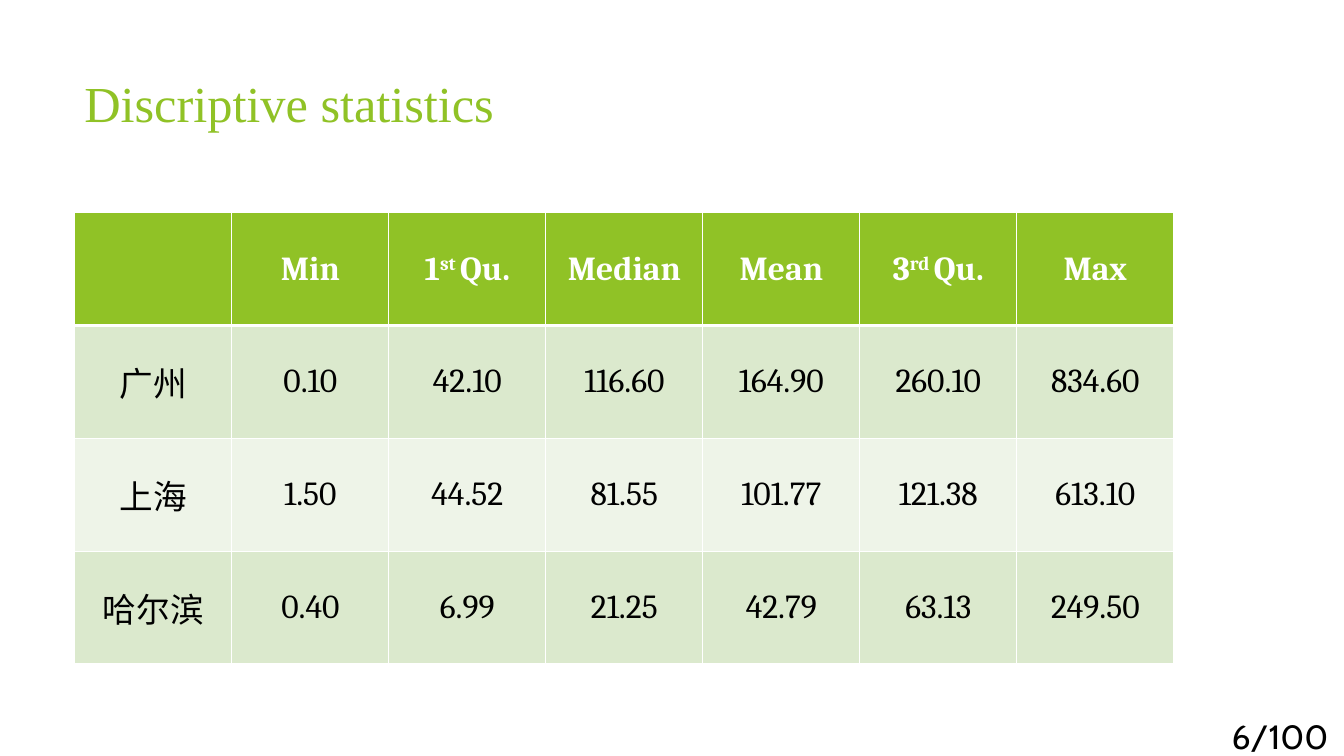
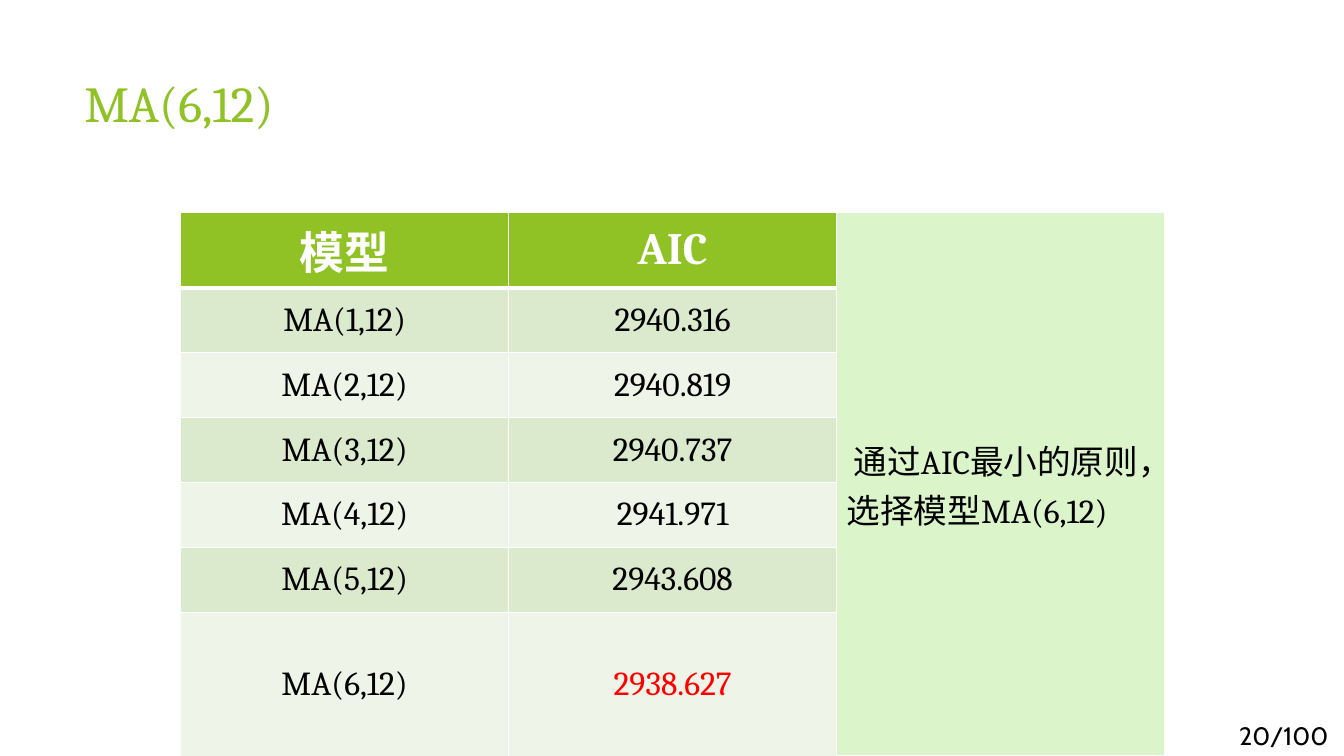
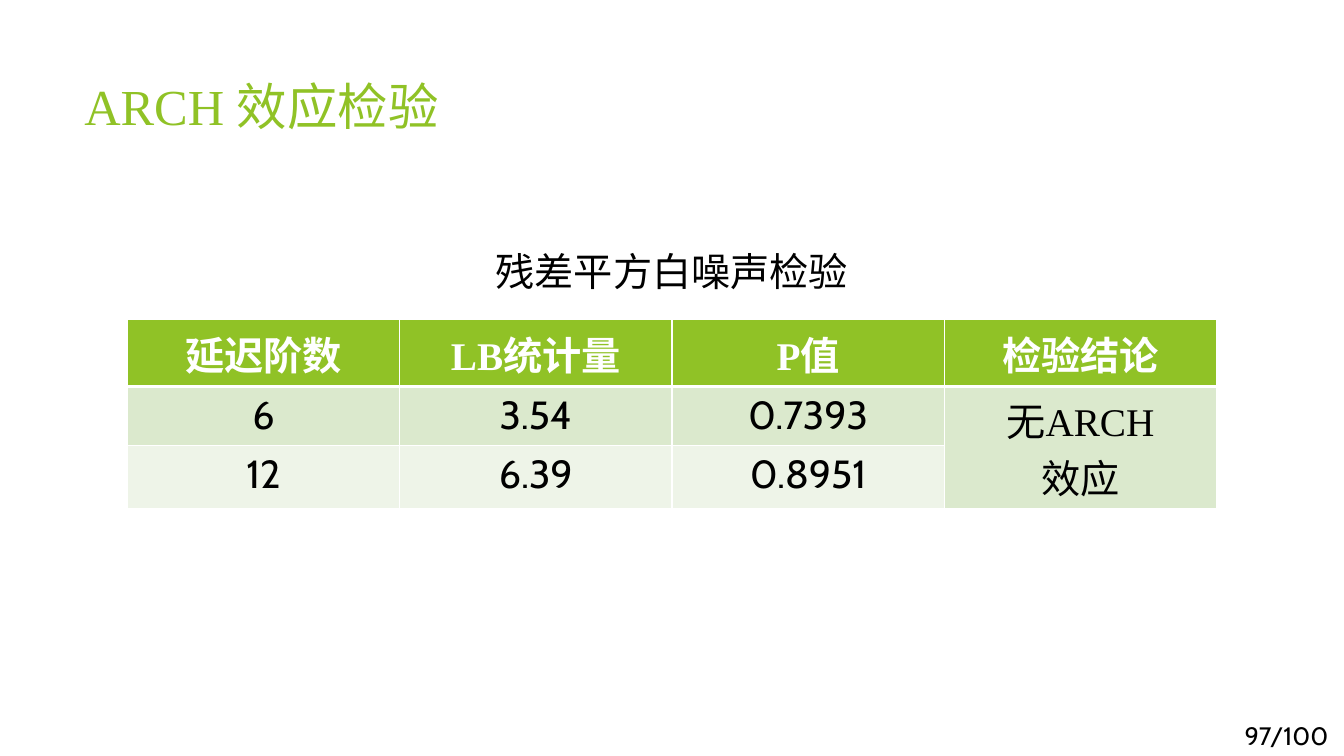
from dataclasses import dataclass, replace

from lxml import etree
from pptx import Presentation
from pptx.dml.color import RGBColor
from pptx.enum.text import MSO_ANCHOR, MSO_AUTO_SIZE, PP_ALIGN
from pptx.oxml.ns import qn
from pptx.util import Pt

LEFT, CENTER, RIGHT = PP_ALIGN.LEFT, PP_ALIGN.CENTER, PP_ALIGN.RIGHT
TOP, MIDDLE = MSO_ANCHOR.TOP, MSO_ANCHOR.MIDDLE
FIXED = MSO_AUTO_SIZE.NONE


@dataclass(frozen=True)
class Theme:
    """Colours, faces and type sizes of the deck."""
    green: str = "90C226"
    white: str = "FFFFFF"
    black: str = "000000"
    red: str = "FF0000"
    pale: str = "DBF4CA"
    bands: tuple = ("DBE9CD", "EEF4E8")
    times: str = "Times New Roman"
    serif: str = "Cambria"
    sans: str = "Cabin"
    plain: str = "Arial"
    han: str = "Noto Sans CJK JP"
    title: int = 36
    large: int = 32
    medium: int = 28
    body: int = 24
    small: int = 18
    thin: int = 1
    thick: int = 3


@dataclass(frozen=True)
class Look:
    """Type style of a paragraph."""
    size: int
    face: str
    hue: str
    bold: bool = False


@dataclass(frozen=True)
class Bit:
    """Run that differs from its paragraph."""
    text: str
    face: str = ""
    hue: str = ""
    lift: bool = False


T = Theme()


def place(shape, box):
    """Move a shape to a box of left, top, width and height."""
    shape.left, shape.top, shape.width, shape.height = map(Pt, box)


def write(frame, lines, look, align=LEFT, indent=0):
    """Fill a text frame with lines, each a string or a tuple of runs."""
    for num, line in enumerate(lines):
        para = frame.add_paragraph() if num else frame.paragraphs[0]
        para.alignment = align
        if indent:
            para._p.get_or_add_pPr().set("indent", str(Pt(indent)))
        font = para.font
        font.size, font.name, font.bold = Pt(look.size), look.face, look.bold
        font.color.rgb = RGBColor.from_string(look.hue)
        etree.SubElement(font._rPr, qn("a:ea"), typeface=T.han)
        for part in (line,) if isinstance(line, str) else line:
            bit = Bit(part) if isinstance(part, str) else part
            run = para.add_run()
            run.text = bit.text
            if bit.face:
                run.font.name = bit.face
            if bit.hue:
                run.font.color.rgb = RGBColor.from_string(bit.hue)
            if bit.lift:
                run._r.get_or_add_rPr().set("baseline", "30000")


def label(slide, box, text, look, align=LEFT, anchor=TOP):
    """Add a wrapped text box."""
    shape = slide.shapes.add_textbox(*map(Pt, box))
    shape.text_frame.word_wrap = True
    shape.text_frame.vertical_anchor = anchor
    write(shape.text_frame, [text], look, align)


def start(deck, title, face, page, size=T.small, top=48):
    """Add a slide with its title and page number."""
    slide = deck.slides.add_slide(deck.slide_layouts[5])
    head = slide.shapes.title
    place(head, (53, top, 677, 104))
    frame = head.text_frame
    frame.auto_size, frame.vertical_anchor = FIXED, TOP
    write(frame, [title], Look(T.title, face, T.green))
    label(slide, (840, 511, 116, 29), f"{page}/100",
          Look(size, T.sans, T.black), RIGHT, MIDDLE)
    return slide


def edge(cell, row):
    """Rule a cell in white, with a thick line below the header."""
    props = cell._tc.get_or_add_tcPr()
    wide = {"T": row == 1, "B": row == 0}
    for side in "LRTB":
        width = T.thick if wide.get(side) else T.thin
        line = etree.SubElement(props, qn(f"a:ln{side}"), w=str(Pt(width)))
        paint = etree.SubElement(line, qn("a:solidFill"))
        etree.SubElement(paint, qn("a:srgbClr"), val=T.white)


def shade(cell, hue):
    """Fill a cell with one colour."""
    cell.fill.solid()
    cell.fill.fore_color.rgb = RGBColor.from_string(hue)


def grid(slide, box, highs, rows, head, body, anchor=MIDDLE, span=None):
    """Add a banded table with equal columns and return it."""
    count = len(rows[0])
    table = slide.shapes.add_table(len(rows), count, *map(Pt, box)).table
    for col in table.columns:
        col.width = Pt(round(box[2] / count, 2))
    for row, high in zip(table.rows, highs):
        row.height = Pt(high)
    if span:
        first, last = span
        table.cell(*first).merge(table.cell(*last))
    for y, row in enumerate(rows):
        for x, text in enumerate(row):
            cell = table.cell(y, x)
            if cell.is_spanned:
                continue
            cell.vertical_anchor = anchor
            edge(cell, y)
            shade(cell, T.bands[(y - 1) % 2] if y else T.green)
            if text:
                write(cell.text_frame, [text], body if y else head, CENTER)
    return table


def stats(deck):
    """Build the slide of descriptive statistics."""
    slide = start(deck, "Discriptive statistics", T.times, 6, T.body)
    rows = [
        ("", "Min", ("1", Bit("st ", lift=True), "Qu."), "Median", "Mean",
         ("3", Bit("rd ", lift=True), "Qu."), "Max"),
        ("广州", "0.10", "42.10", "116.60", "164.90", "260.10", "834.60"),
        ("上海", "1.50", "44.52", "81.55", "101.77", "121.38", "613.10"),
        ("哈尔滨", "0.40", "6.99", "21.25", "42.79", "63.13", "249.50"),
    ]
    body = Look(T.body, T.serif, T.black)
    head = replace(body, hue=T.white, bold=True)
    grid(slide, (53.5, 152, 785, 322.4), [80.6] * 4, rows, head, body)


def models(deck):
    """Build the slide that compares models by AIC."""
    slide = start(deck, "MA(6,12)", T.serif, 20)
    scores = ("2940.316", "2940.819", "2940.737", "2941.971", "2943.608",
              (Bit("2938.627", hue=T.red),))
    rows = [("模型", "AIC", "")]
    rows += [(f"MA({lag},12)", score, "")
             for lag, score in enumerate(scores, 1)]
    highs = [53.6] + [46.4] * 5 + [103]
    body = Look(T.body, T.serif, T.black)
    head = Look(T.large, T.serif, T.white, True)
    table = grid(slide, (129, 152, 703, sum(highs)), highs, rows, head, body,
                 span=((0, 2), (6, 2)))
    note = table.cell(0, 2)
    shade(note, T.pale)
    write(note.text_frame, ["通过AIC最小的原则，选择模型MA(6,12)"], body,
          indent=5)


def effect(deck):
    """Build the slide of the ARCH effect test."""
    slide = start(deck, (Bit("ARCH ", T.times), "效应检验"), T.plain, 97,
                  top=50)
    rows = [
        ("延迟阶数", (Bit("LB", T.times), "统计量"),
         (Bit("P", T.times), "值"), "检验结论"),
        ("6", "3.54", "0.7393", ""),
        ("12", "6.39", "0.8951", ""),
    ]
    highs = [47.5, 42.5, 45]
    body = Look(T.medium, T.sans, T.black)
    head = Look(T.medium, T.han, T.white, True)
    table = grid(slide, (91, 228.5, 778, sum(highs)), highs, rows, head, body,
                 TOP, ((1, 3), (2, 3)))
    write(table.cell(1, 3).text_frame,
          [("无", Bit("ARCH", T.times)), "效应"], body, CENTER)
    label(slide, (347, 173, 413, 41), "残差平方白噪声检验",
          replace(body, face=T.han))


def main():
    """Build and save the deck."""
    deck = Presentation()
    deck.slide_width, deck.slide_height = Pt(960), Pt(540)
    for build in (stats, models, effect):
        build(deck)
    deck.save("out.pptx")


if __name__ == "__main__":
    main()
